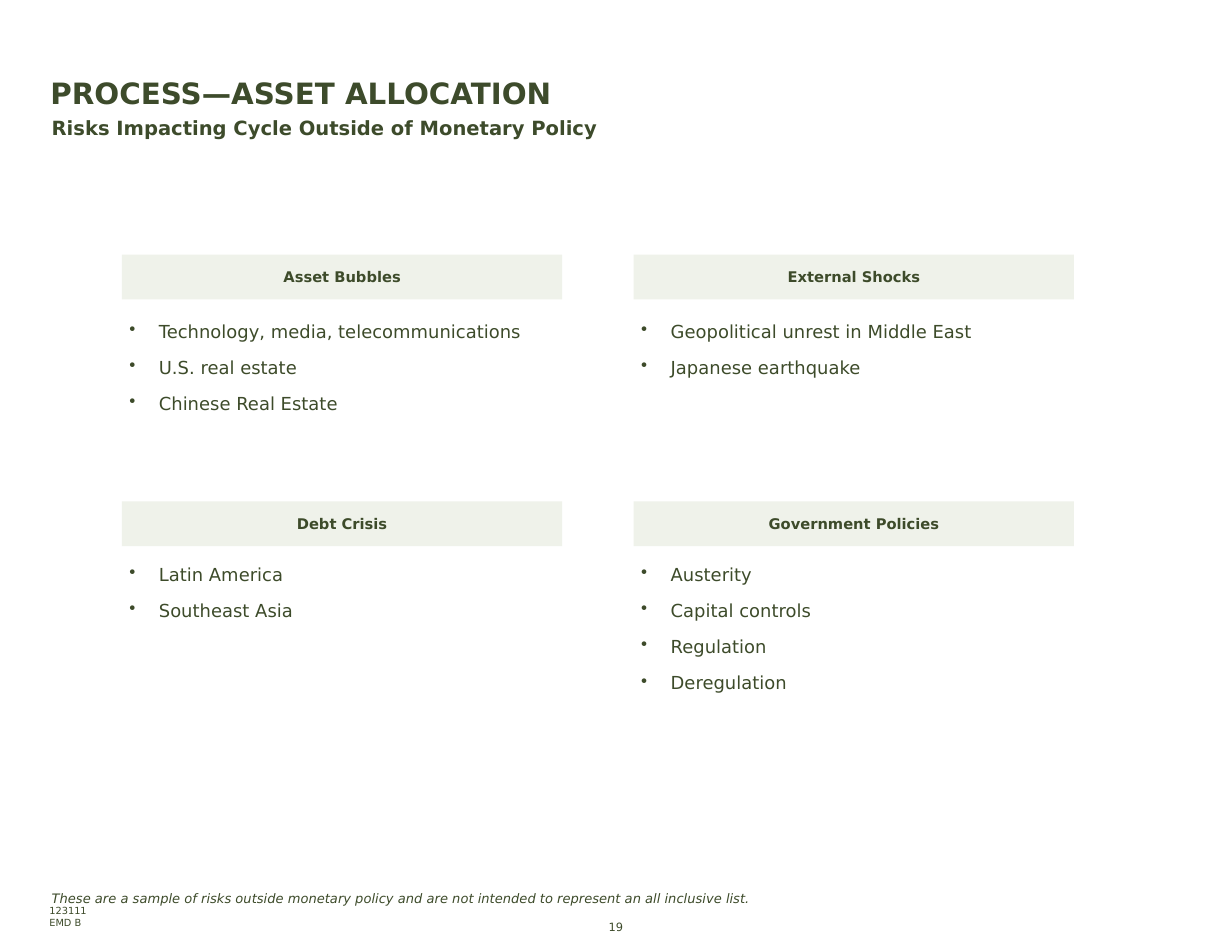
from lxml.etree import SubElement
from pptx import Presentation
from pptx.dml.color import RGBColor
from pptx.enum.shapes import MSO_SHAPE
from pptx.enum.text import MSO_ANCHOR, MSO_AUTO_SIZE, PP_ALIGN
from pptx.oxml.ns import qn
from pptx.util import Cm, Pt


def rgb(value):
    return RGBColor.from_string(value)


class Deck:
    font = "DejaVu Sans"
    heading = "3D4B2B"
    text = "3D4B2A"
    band = "EFF2EA"

    def __init__(self, width, height):
        self.prs = Presentation()
        self.prs.slide_width = Cm(width)
        self.prs.slide_height = Cm(height)
        self.s = None

    def add_slide(self):
        self.s = self.prs.slides.add_slide(self.prs.slide_layouts[5])

    def frame(self, sp, anchor, inset=0, right=0, wrap=True, grow=False):
        tf = sp.text_frame
        tf.word_wrap = wrap
        tf.auto_size = MSO_AUTO_SIZE.SHAPE_TO_FIT_TEXT if grow else MSO_AUTO_SIZE.NONE
        tf.vertical_anchor = anchor
        tf.margin_left = tf.margin_top = tf.margin_bottom = Cm(inset)
        tf.margin_right = Cm(inset + right)
        return tf

    def run(self, p, text, size, color, bold=False, italic=False, align=PP_ALIGN.LEFT):
        p.alignment = align
        r = p.add_run()
        r.text = text
        r.font.name = self.font
        r.font.size = Pt(size)
        r.font.bold = bold
        r.font.italic = italic
        r.font.color.rgb = rgb(color)

    def title(self, text, x, y, w, h):
        sp = self.s.shapes.title
        sp.left, sp.top, sp.width, sp.height = Cm(x), Cm(y), Cm(w), Cm(h)
        tf = self.frame(sp, MSO_ANCHOR.BOTTOM, right=0.28)
        self.run(tf.paragraphs[0], text, 18, self.heading, bold=True)

    def label(self, text, x, y, w, h, size, color=text, anchor=MSO_ANCHOR.TOP,
              wrap=False, **style):
        sp = self.s.shapes.add_textbox(Cm(x), Cm(y), Cm(w), Cm(h))
        tf = self.frame(sp, anchor, wrap=wrap, grow=True)
        self.run(tf.paragraphs[0], text, size, color, **style)

    def header(self, text, x, y, w, h):
        sp = self.s.shapes.add_shape(MSO_SHAPE.RECTANGLE, Cm(x), Cm(y), Cm(w), Cm(h))
        sp.shadow.inherit = False
        sp.fill.solid()
        sp.fill.fore_color.rgb = rgb(self.band)
        sp.line.fill.background()
        tf = self.frame(sp, MSO_ANCHOR.MIDDLE, inset=0.28)
        self.run(tf.paragraphs[0], text, 9, self.text, bold=True, align=PP_ALIGN.CENTER)

    def bullets(self, items, x, y, w, h):
        sp = self.s.shapes.add_textbox(Cm(x), Cm(y), Cm(w), Cm(h))
        tf = self.frame(sp, MSO_ANCHOR.TOP)
        for i, item in enumerate(items):
            p = tf.add_paragraph() if i else tf.paragraphs[0]
            p.space_before = Pt(9)
            self.run(p, item, 11, self.text)
            pPr = p._p.get_or_add_pPr()
            pPr.set("marL", str(Cm(0.64)))
            pPr.set("indent", str(-Cm(0.64)))
            SubElement(pPr, qn("a:buChar")).set("char", "•")


def main():
    deck = Deck(26.67, 20.32)
    deck.add_slide()
    deck.title("PROCESS—ASSET ALLOCATION", 1.09, 0.76, 24.77, 1.63)
    deck.label("Risks Impacting Cycle Outside of Monetary Policy",
               1.12, 2.51, 11.96, 0.51, 12, deck.heading, bold=True)

    columns = (2.64, 13.72)
    rows = ((5.51, 6.93), (10.85, 12.19))
    risks = (
        (("Asset Bubbles", 10.34, 2.06,
          ("Technology, media, telecommunications", "U.S. real estate",
           "Chinese Real Estate")),
         ("External Shocks", 9.53, 1.27,
          ("Geopolitical unrest in Middle East", "Japanese earthquake"))),
        (("Debt Crisis", 9.53, 2.84,
          ("Latin America", "Southeast Asia")),
         ("Government Policies", 9.53, 3.63,
          ("Austerity", "Capital controls", "Regulation", "Deregulation"))),
    )
    for (header_y, list_y), row in zip(rows, risks):
        for x, (name, w, h, items) in zip(columns, row):
            deck.header(name, x, header_y, 9.53, 0.97)
            deck.bullets(items, x + 0.16, list_y, w, h)

    deck.label("These are a sample of risks outside monetary policy and are not "
               "intended to represent an all inclusive list.",
               1.12, 19.28, 21.54, 0.33, 8, anchor=MSO_ANCHOR.BOTTOM,
               wrap=True, italic=True)
    deck.label("123111 EMD B", 1.07, 19.84, 0.81, 0.25, 6, anchor=MSO_ANCHOR.BOTTOM)
    deck.label("19", 13.06, 19.91, 0.43, 0.3, 7, align=PP_ALIGN.RIGHT)
    deck.prs.save("out.pptx")


if __name__ == "__main__":
    main()
